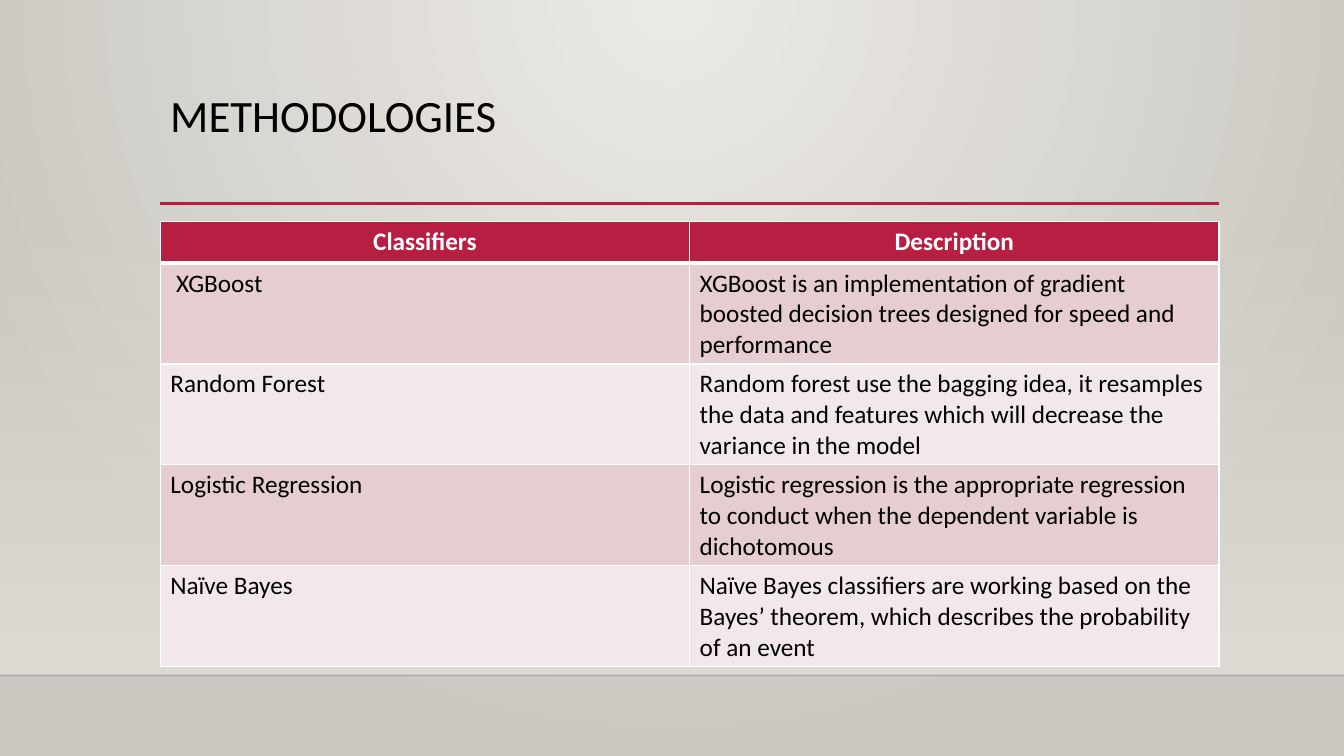
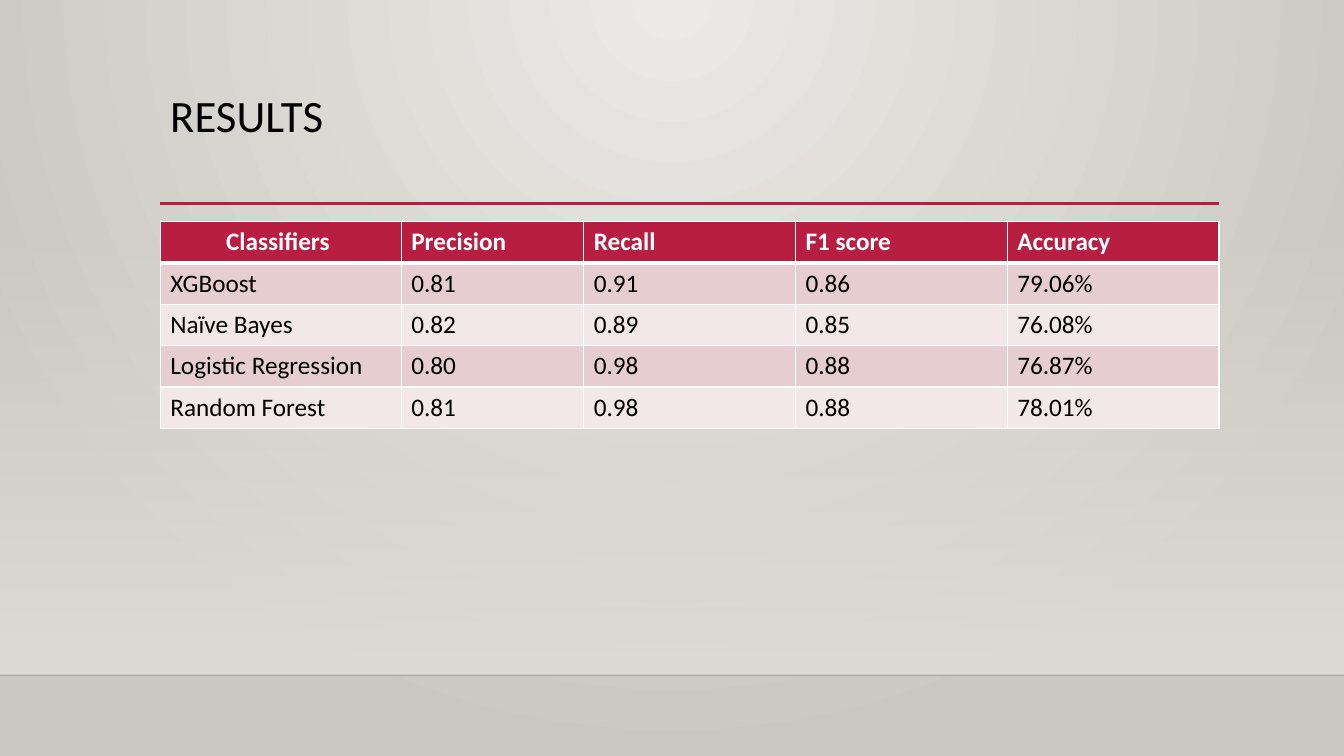
from dataclasses import dataclass

from lxml import etree
from pptx import Presentation
from pptx.dml.color import RGBColor
from pptx.enum.shapes import MSO_CONNECTOR, MSO_SHAPE
from pptx.enum.text import MSO_ANCHOR, PP_ALIGN
from pptx.oxml.ns import qn
from pptx.util import Inches, Pt

LINE = MSO_CONNECTOR.STRAIGHT
RECT = MSO_SHAPE.RECTANGLE
TOP = MSO_ANCHOR.TOP
LEFT, MID = PP_ALIGN.LEFT, PP_ALIGN.CENTER


@dataclass(frozen=True)
class Theme:
    font: str = "Calibri"
    title: int = 32
    body: int = 18
    red: str = "B71E42"
    dark: str = "E6CDCF"
    pale: str = "F3E8E9"
    white: str = "FFFFFF"
    black: str = "000000"
    edge: str = "000001"
    glow: str = "ECEAE7"
    rim: str = "CAC7C1"
    floor: str = "DFDBD5"
    thin: float = 1
    thick: float = 3
    rule: float = 2.5


THEME = Theme()
WIDE, HIGH = 13.33, 7.5
SIDE, SPAN = 1.59, 10.5
ROW = 0.41

METHODS = [
    ["Classifiers", "Description"],
    [" XGBoost", "XGBoost is an implementation of gradient boosted decision "
     "trees designed for speed and performance"],
    ["Random Forest", "Random forest use the bagging idea, it resamples the "
     "data and features which will decrease the variance in the model"],
    ["Logistic Regression", "Logistic regression is the appropriate regression "
     "to conduct when the dependent variable is dichotomous"],
    ["Naïve Bayes", "Naïve Bayes classifiers are working based on the Bayes’ "
     "theorem, which describes the probability of an event"],
]
SCORES = [
    ["Classifiers ", "Precision", "Recall", "F1 score", "Accuracy"],
    ["XGBoost", "0.81", "0.91", "0.86", "79.06%"],
    ["Naïve Bayes", "0.82", "0.89", "0.85", "76.08%"],
    ["Logistic Regression", "0.80", "0.98", "0.88", "76.87%"],
    ["Random Forest", "0.81", "0.98", "0.88", "78.01%"],
]


def color(code):
    return RGBColor.from_string(code)


def add_node(root, tag, **attrs):
    return etree.SubElement(root, qn(tag), attrs)


def set_alpha(root, part):
    add_node(root.xpath(".//a:srgbClr")[0], "a:alpha", val=str(part * 1000))


def set_grad(fill, start, end):
    fill.gradient()
    for stop, code, spot in zip(fill.gradient_stops, (start, end), (0, 1)):
        stop.color.rgb = color(code)
        stop.position = spot


def set_ground(master):
    set_grad(master.background.fill, THEME.glow, THEME.rim)
    grad = master.element.xpath("p:cSld/p:bg//a:gradFill")[0]
    grad.remove(grad.find(qn("a:lin")))
    ring = add_node(grad, "a:path", path="circle")
    add_node(ring, "a:fillToRect", l="43000", t="0", r="43000", b="100000")


def add_line(slide, left, right, top, code, width):
    line = slide.shapes.add_connector(
        LINE, Inches(left), Inches(top), Inches(right), Inches(top))
    line.line.color.rgb = color(code)
    line.line.width = Pt(width)
    add_node(line.element.spPr, "a:effectLst")
    return line


def add_floor(slide):
    band = slide.shapes.add_shape(
        RECT, 0, Inches(2.21), Inches(WIDE), Inches(4.49))
    band.shadow.inherit = False
    band.line.fill.background()
    set_grad(band.fill, THEME.floor, THEME.floor)
    band.fill.gradient_angle = 270
    set_alpha(band.element.spPr, 0)
    edge = add_line(slide, 0, WIDE, 6.7, THEME.edge, THEME.thin)
    set_alpha(edge.element.spPr, 20)


def style_text(para, size, code, bold=False):
    font = para.font
    font.name = THEME.font
    font.size = Pt(size)
    font.color.rgb = color(code)
    font.bold = bold


def add_title(slide, text):
    box = slide.shapes.add_textbox(
        Inches(SIDE), Inches(0.88), Inches(SPAN), Inches(1.15))
    frame = box.text_frame
    frame.word_wrap = True
    frame.vertical_anchor = TOP
    para = frame.paragraphs[0]
    para.text = text
    para.line_spacing = 0.9
    style_text(para, THEME.title, THEME.black)


def add_edge(cell, side, width):
    props = cell._tc.get_or_add_tcPr()
    edge = add_node(props, f"a:ln{side}", w=str(Pt(width)))
    fill = add_node(edge, "a:solidFill")
    add_node(fill, "a:srgbClr", val=THEME.white)


def fill_cell(cell, text, row, align):
    head = row == 0
    widths = {
        "L": THEME.thin,
        "R": THEME.thin,
        "T": THEME.thick if row == 1 else THEME.thin,
        "B": THEME.thick if head else THEME.thin,
    }
    for side, width in widths.items():
        add_edge(cell, side, width)
    cell.fill.solid()
    band = THEME.dark if row % 2 else THEME.pale
    cell.fill.fore_color.rgb = color(THEME.red if head else band)
    para = cell.text_frame.paragraphs[0]
    para.text = text
    para.alignment = align
    style_text(para, THEME.body, THEME.white if head else THEME.black, head)


def add_grid(slide, data, cols, tall, mids):
    high = ROW + tall * (len(data) - 1)
    frame = slide.shapes.add_table(
        len(data), len(cols), Inches(SIDE), Inches(2.2),
        Inches(SPAN), Inches(high))
    table = frame.table
    for col, width in zip(table.columns, cols):
        col.width = Inches(width)
    for row, texts in enumerate(data):
        table.rows[row].height = Inches(tall if row else ROW)
        for col, text in enumerate(texts):
            align = MID if row == 0 and col < mids else LEFT
            fill_cell(table.cell(row, col), text, row, align)


def add_page(deck, title, data, cols, tall, mids):
    slide = deck.slides.add_slide(deck.slide_layouts[6])
    add_floor(slide)
    add_line(slide, SIDE, SIDE + SPAN, 2.02, THEME.red, THEME.rule)
    add_title(slide, title)
    add_grid(slide, data, cols, tall, mids)


def main():
    deck = Presentation()
    deck.slide_width = Inches(WIDE)
    deck.slide_height = Inches(HIGH)
    set_ground(deck.slide_master)
    add_page(deck, "METHODOLOGIES", METHODS, [SPAN / 2] * 2, 1, 2)
    add_page(deck, "RESULTS", SCORES, [2.39, 1.81] + [2.1] * 3, ROW, 1)
    deck.save("out.pptx")


if __name__ == "__main__":
    main()
